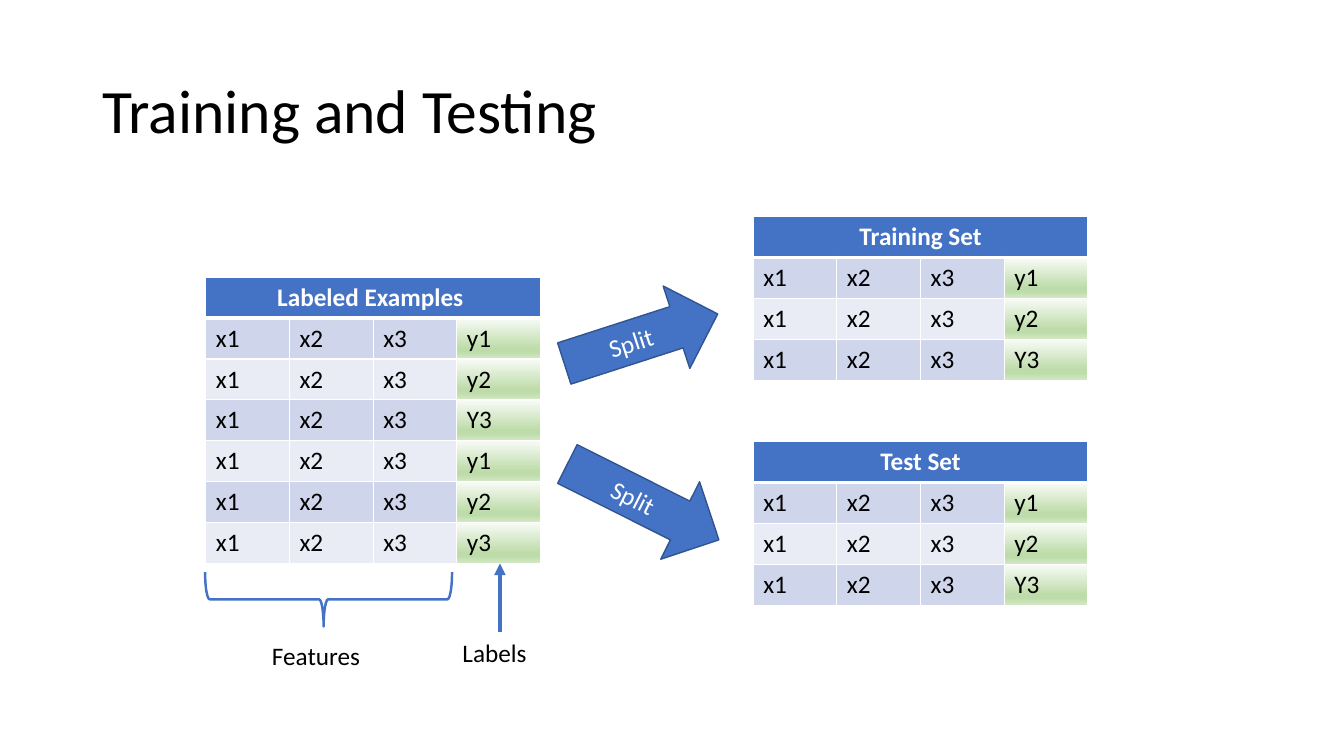
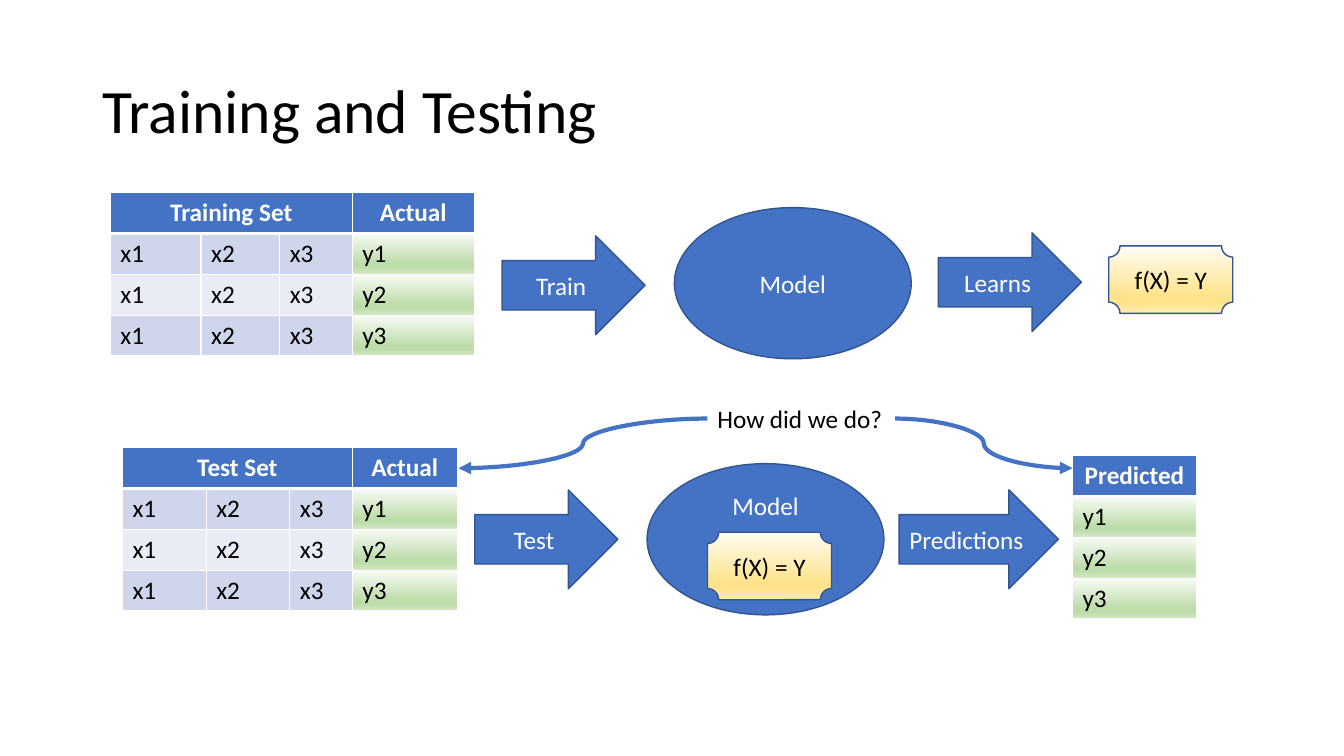
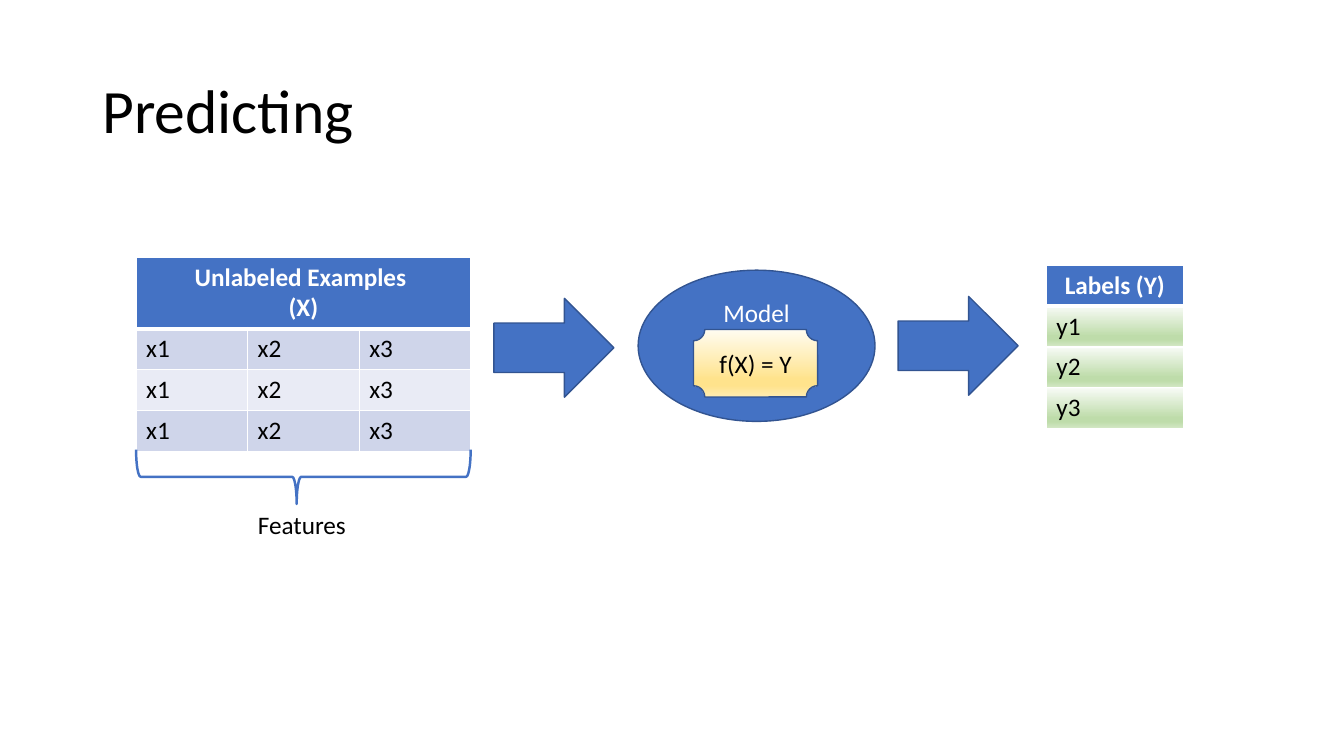
"""Build three slides on training, testing and predicting with a model."""
from lxml.etree import SubElement
from pptx import Presentation
from pptx.dml.color import RGBColor
from pptx.enum.shapes import MSO_CONNECTOR, MSO_SHAPE
from pptx.enum.text import MSO_ANCHOR, MSO_AUTO_SIZE, PP_ALIGN
from pptx.oxml.ns import qn
from pptx.util import Pt

COLORS = {
    "blue": "4472C4",
    "outline": "325491",
    "band_dark": "CFD5EA",
    "band_light": "E9EBF5",
    "white": "FFFFFF",
    "black": "000000",
}
GRADIENTS = {
    "green": [(0, "F8FBF6"), (74, "BEDCAA"), (83, "BEDCAA"), (100, "D4E8C6")],
    "gold": [(0, "FFFCF2"), (74, "FFE38C"), (83, "FFE38C"), (100, "FFECB2")],
}
FONT = "Calibri"
ROW_HEIGHT = 29.2
ARROW_HEIGHT = 70.6
FEATURES = ["x1", "x2", "x3"]
LABELS = ["y1", "y2", "y3"]
MIXED_LABELS = ["y1", "y2", "Y3"]


def rgb(color):
    return RGBColor.from_string(COLORS[color])


def examples(labels):
    return [FEATURES + [label] for label in labels]


class Deck:
    def __init__(self):
        self.presentation = Presentation()
        self.presentation.slide_width = Pt(960)
        self.presentation.slide_height = Pt(540)
        self.shapes = None

    def slide(self, title):
        layout = self.presentation.slide_layouts[5]
        self.shapes = self.presentation.slides.add_slide(layout).shapes
        heading = self.shapes.title
        heading.left, heading.top = Pt(66), Pt(28.75)
        heading.width, heading.height = Pt(828), Pt(104.4)
        heading.text_frame.vertical_anchor = MSO_ANCHOR.MIDDLE
        self.add_text(heading.text_frame, title, size=44)
        heading.text_frame.paragraphs[0].line_spacing = 0.9

    def add_text(self, frame, text, color="black", align=PP_ALIGN.LEFT, size=18, bold=False):
        paragraph = frame.paragraphs[0]
        paragraph.alignment = align
        for number, line in enumerate(text.split("\n")):
            if number:
                paragraph.add_line_break()
            run = paragraph.add_run()
            run.text = line
            run.font.name, run.font.size, run.font.bold = FONT, Pt(size), bold
            run.font.color.rgb = rgb(color)

    def paint(self, fill, properties, color):
        if color not in GRADIENTS:
            fill.solid()
            fill.fore_color.rgb = rgb(color)
            return
        fill.gradient()
        fill.gradient_angle = 270
        stops = properties.find(qn("a:gradFill")).find(qn("a:gsLst"))
        for stop in list(stops):
            stops.remove(stop)
        for position, value in GRADIENTS[color]:
            stop = SubElement(stops, qn("a:gs"), pos=str(position * 1000))
            SubElement(stop, qn("a:srgbClr"), val=value)

    def cell(self, cell, color, top, bottom):
        properties = cell._tc.get_or_add_tcPr()
        for side, width in zip("LRTB", (1, 1, top, bottom)):
            border = SubElement(properties, qn(f"a:ln{side}"), w=str(int(Pt(width))))
            solid = SubElement(border, qn("a:solidFill"))
            SubElement(solid, qn("a:srgbClr"), val=COLORS["white"])
        self.paint(cell.fill, properties, color)

    def table(self, left, top, widths, headers, rows, header_height=ROW_HEIGHT):
        height = header_height + ROW_HEIGHT * len(rows)
        table = self.shapes.add_table(
            len(rows) + 1, len(widths), Pt(left), Pt(top), Pt(sum(widths)), Pt(height)
        ).table
        table.horz_banding = False
        for column, width in zip(table.columns, widths):
            column.width = Pt(width)
        for number, row in enumerate(table.rows):
            row.height = Pt(ROW_HEIGHT if number else header_height)
        for column in range(len(widths)):
            self.cell(table.cell(0, column), "blue", 1, 3)
        start = 0
        for text, span in headers:
            header = table.cell(0, start)
            if span > 1:
                header.merge(table.cell(0, start + span - 1))
            self.add_text(header.text_frame, text, "white", PP_ALIGN.CENTER, bold=True)
            start += span
        for number, values in enumerate(rows, 1):
            band = "band_dark" if number % 2 else "band_light"
            for column, value in enumerate(values):
                body = table.cell(number, column)
                color = "green" if value.lower().startswith("y") else band
                self.cell(body, color, 3 if number == 1 else 1, 1)
                self.add_text(body.text_frame, value)

    def shape(self, kind, left, top, width, height, text="", fill="blue",
              color="white", anchor=MSO_ANCHOR.MIDDLE, rotation=0):
        shape = self.shapes.add_shape(kind, Pt(left), Pt(top), Pt(width), Pt(height))
        shape.shadow.inherit = False
        shape.rotation = rotation
        self.paint(shape.fill, shape._element.spPr, fill)
        shape.line.color.rgb = rgb("outline")
        shape.line.width = Pt(1)
        shape.text_frame.vertical_anchor = anchor
        if text:
            self.add_text(shape.text_frame, text, color, PP_ALIGN.CENTER)
        return shape

    def arrow(self, left, top, width, text="", height=ARROW_HEIGHT, rotation=0):
        self.shape(MSO_SHAPE.RIGHT_ARROW, left, top, width, height, text, rotation=rotation)

    def model(self, left, top, anchor=MSO_ANCHOR.TOP):
        self.shape(MSO_SHAPE.OVAL, left, top, 169.2, 108, "Model", anchor=anchor)

    def function(self, left, top):
        self.shape(MSO_SHAPE.PLAQUE, left, top, 88.6, 48.2, "f(X) = Y", "gold", "black")

    def brace(self, left, top, width, depth=38.9):
        shift = (width - depth) / 2
        brace = self.shape(
            MSO_SHAPE.LEFT_BRACE, left + shift, top - shift, depth, width, rotation=270
        )
        brace.adjustments[1] = 0.48
        brace.fill.background()
        brace.line.color.rgb = rgb("blue")
        brace.line.width = Pt(1.75)

    def caption(self, left, top, width, text, wrap=True):
        box = self.shapes.add_textbox(Pt(left), Pt(top), Pt(width), Pt(29))
        box.text_frame.word_wrap = wrap
        box.text_frame.auto_size = MSO_AUTO_SIZE.SHAPE_TO_FIT_TEXT
        self.add_text(box.text_frame, text)

    def pointer(self, start, end, width=3, kind=MSO_CONNECTOR.CURVE):
        pointer = self.shapes.add_connector(kind, *map(Pt, start + end))
        pointer.line.color.rgb = rgb("blue")
        pointer.line.width = Pt(width)
        properties = pointer._element.spPr
        SubElement(properties.find(qn("a:ln")), qn("a:tailEnd"), type="triangle")
        SubElement(properties, qn("a:effectLst"))


def split_slide(deck):
    deck.slide("Training and Testing")
    widths = [59.8] * 4
    deck.table(147, 198, widths, [("Labeled Examples ", 4)],
               examples(MIXED_LABELS + LABELS))
    for top, name in ((154.8, "Training Set"), (315.5, "Test Set")):
        deck.table(538, top, widths, [(name, 4)], examples(MIXED_LABELS))
    deck.arrow(400.3, 211, 115.2, "Split", 61.9, 342.1)
    deck.arrow(398.9, 327.6, 121, "Split", 61.9, 26.6)
    deck.caption(187.2, 453.6, 77.8, "Features", wrap=False)
    deck.caption(323.3, 451.4, 67.7, "Labels")
    deck.pointer((357.1, 451.4), (357.1, 402.5), 2.75, MSO_CONNECTOR.STRAIGHT)
    deck.brace(146.5, 408.6, 176.4)


def evaluation_slide(deck):
    deck.slide("Training and Testing")
    deck.table(78.8, 137.5, [64.8, 56.2, 51.8, 87.1],
               [("Training Set", 3), ("Actual", 1)], examples(LABELS))
    deck.arrow(358.6, 168.5, 102.2, "Train")
    deck.model(481.7, 148.3, MSO_ANCHOR.MIDDLE)
    deck.arrow(670.3, 166.3, 102.2, "Learns")
    deck.function(792, 175.7)

    deck.table(87.5, 319.7, [59.8, 59.8, 44.6, 74.9],
               [("Test Set", 3), ("Actual", 1)], examples(LABELS))
    deck.arrow(339.1, 349.9, 102.2, "Test")
    deck.model(462.2, 331.2)
    deck.function(505.4, 380.2)
    deck.arrow(642.2, 349.9, 113.8, "Predictions")
    deck.table(766.1, 325.4, [88.6], [("Predicted", 1)], [[label] for label in LABELS])
    deck.caption(505.4, 284.4, 133.9, "How did we do?", wrap=False)
    deck.pointer((639.4, 299), (766.1, 334.5))
    deck.pointer((505.4, 299), (327.6, 334.5))


def prediction_slide(deck):
    deck.slide("Predicting")
    deck.table(97.2, 183.6, [79.7] * 3, [("Unlabeled Examples \n(X)", 3)],
               [FEATURES] * 3, header_height=50.4)
    deck.arrow(352.8, 213.1, 85.7)
    deck.model(455.8, 193)
    deck.function(495.4, 235.4)
    deck.arrow(641.5, 211.7, 85.7)
    deck.table(747.4, 189.4, [97.9], [("Labels (Y)", 1)], [[label] for label in LABELS])
    deck.caption(177.1, 360, 105.8, "Features")
    deck.brace(97.2, 321.1, 239)


deck = Deck()
split_slide(deck)
evaluation_slide(deck)
prediction_slide(deck)
deck.presentation.save("out.pptx")
